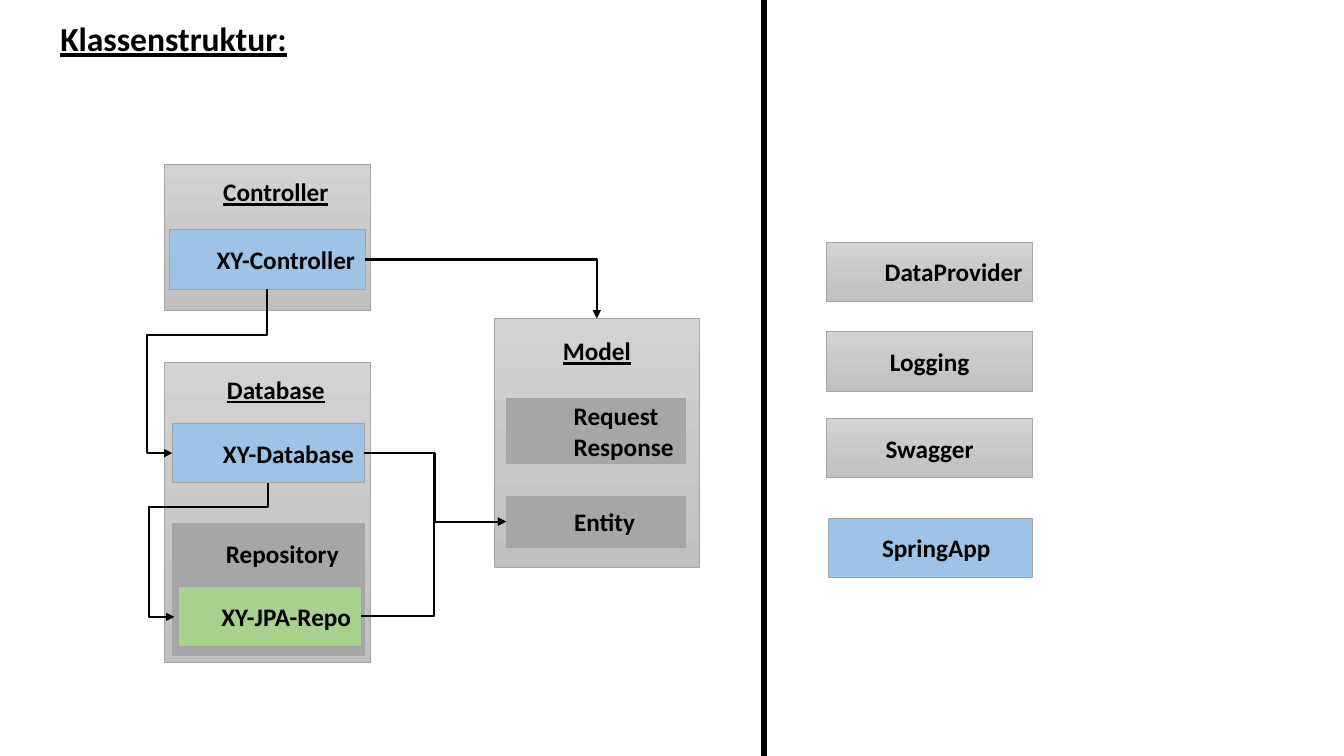
from lxml import etree
from pptx import Presentation
from pptx.dml.color import RGBColor
from pptx.enum import shapes, text
from pptx.oxml import ns
from pptx.util import Inches, Pt

BLACK = RGBColor(0x00, 0x00, 0x00)
BORDER = RGBColor(0xA5, 0xA5, 0xA5)
GRAY = RGBColor(0xA6, 0xA6, 0xA6)
BLUE = RGBColor(0x9D, 0xC3, 0xE6)
GREEN = RGBColor(0xA9, 0xD1, 0x8E)
PACKAGE = (RGBColor(0xD2, 0xD2, 0xD2), RGBColor(0xC0, 0xC0, 0xC0))

LEFT, CENTER, RIGHT = text.PP_ALIGN.LEFT, text.PP_ALIGN.CENTER, text.PP_ALIGN.RIGHT
TOP, BOTTOM_SITE, LEFT_SITE, RIGHT_SITE = 0, 2, 1, 3


def write(frame, lines, size, alignment, underline=False):
    frame.word_wrap = True
    for index, line in enumerate(lines):
        paragraph = frame.paragraphs[0] if index == 0 else frame.add_paragraph()
        paragraph.alignment = alignment
        run = paragraph.add_run()
        run.text = line
        run.font.color.rgb = BLACK
        values = {"name": "Calibri", "size": Pt(size), "bold": True, "underline": underline}
        for name, value in values.items():
            setattr(run.font, name, value)


def add_line(kind, start, end, width):
    """Add a black connector without a shadow."""
    connector = slide.shapes.add_connector(kind, *map(Inches, start + end))
    connector.line.color.rgb = BLACK
    connector.line.width = Pt(width)
    etree.SubElement(connector._element.spPr, ns.qn("a:effectLst"))
    return connector


presentation = Presentation()
presentation.slide_width, presentation.slide_height = Inches(13.33), Inches(7.5)
slide = presentation.slides.add_slide(presentation.slide_layouts[6])

title = slide.shapes.add_textbox(Inches(0.5), Inches(0.13), Inches(5.6), Inches(0.5))
write(title.text_frame, ["Klassenstruktur:"], 24, LEFT, underline=True)

# Text, position and size, fill, alignment, left indent, top margin of a heading
boxes = [
    ("DataProvider", (8.2, 2.4, 2.04, 0.59), PACKAGE, RIGHT, 0, None),
    ("Logging", (8.2, 3.29, 2.04, 0.59), PACKAGE, CENTER, 0, None),
    ("Swagger", (8.2, 4.15, 2.04, 0.59), PACKAGE, CENTER, 0, None),
    ("SpringApp", (8.22, 5.14, 2.02, 0.59), BLUE, CENTER, 0.11, None),
    ("Model", (4.9, 3.16, 2.04, 2.47), PACKAGE, CENTER, 0, 0.17),
    ("Request\nResponse", (5.02, 3.95, 1.78, 0.65), GRAY, LEFT, 0.57, None),
    ("Entity", (5.02, 4.92, 1.78, 0.51), GRAY, CENTER, 0.17, None),
    ("Controller", (1.63, 1.63, 2.04, 1.45), PACKAGE, CENTER, 0.17, 0.12),
    ("XY-Controller", (1.68, 2.28, 1.94, 0.59), BLUE, RIGHT, 0, None),
    ("Database", (1.63, 3.59, 2.04, 2.98), PACKAGE, CENTER, 0.17, 0.12),
    ("XY-Database", (1.71, 4.2, 1.9, 0.59), BLUE, RIGHT, 0, None),
    ("Repository", (1.71, 5.19, 1.9, 1.31), GRAY, CENTER, 0.28, 0.15),
    ("XY-JPA-Repo", (1.77, 5.82, 1.81, 0.59), GREEN, RIGHT, 0, None),
]
box_by_name = {}
for label, place, fill, alignment, indent, heading_top in boxes:
    shape = slide.shapes.add_shape(shapes.MSO_SHAPE.RECTANGLE, *map(Inches, place))
    shape.shadow.inherit = False
    if fill is PACKAGE:
        shape.fill.gradient()
        shape.fill.gradient_angle = 270
        for stop, color in zip(shape.fill.gradient_stops, PACKAGE):
            stop.color.rgb = color
    else:
        shape.fill.solid()
        shape.fill.fore_color.rgb = fill
    shape.line.color.rgb = BORDER
    shape.line.width = Pt(0.5)
    frame = shape.text_frame
    frame.margin_left = Inches(0.1 + indent)
    frame.vertical_anchor = text.MSO_ANCHOR.MIDDLE
    if heading_top is not None:
        frame.vertical_anchor = text.MSO_ANCHOR.TOP
        frame.margin_top = Inches(heading_top)
    underline = label in ("Controller", "Database", "Model")
    write(frame, label.split("\n"), 18, alignment, underline)
    box_by_name[label] = shape

# Start box and site, end box and site, end point, preset, adjustments
arrows = [
    ("XY-Controller", RIGHT_SITE, "Model", TOP, (5.91, 3.16), "bentConnector2", []),
    ("XY-Controller", BOTTOM_SITE, "XY-Database", LEFT_SITE, (1.71, 4.5), "bentConnector4", [27800, 126400]),
    ("XY-Database", BOTTOM_SITE, None, None, (1.73, 6.12), "bentConnector4", [17900, 126900]),
    ("XY-Database", RIGHT_SITE, "Entity", LEFT_SITE, (5.02, 5.18), "bentConnector3", [49600]),
    ("XY-JPA-Repo", RIGHT_SITE, "Entity", LEFT_SITE, (5.02, 5.18), "bentConnector3", [50600]),
]
for source, source_site, target, target_site, end, preset, adjustments in arrows:
    arrow = add_line(shapes.MSO_CONNECTOR.ELBOW, (0, 0), end, 1.5)
    arrow.begin_connect(box_by_name[source], source_site)
    if target:
        arrow.end_connect(box_by_name[target], target_site)
    properties = arrow._element.spPr
    geometry = properties.find(ns.qn("a:prstGeom"))
    geometry.set("prst", preset)
    guides = geometry.find(ns.qn("a:avLst"))
    for number, value in enumerate(adjustments, 1):
        etree.SubElement(guides, ns.qn("a:gd"), name=f"adj{number}", fmla=f"val {value}")
    etree.SubElement(arrow.line._get_or_add_ln(), ns.qn("a:tailEnd"), type="triangle")
    if source_site == BOTTOM_SITE:
        # A quarter turn swaps width and height around the same centre
        shift = (arrow.height - arrow.width) // 2
        arrow.left, arrow.top = arrow.left - shift, arrow.top + shift
        arrow.width, arrow.height = arrow.height, arrow.width
        transform = properties.find(ns.qn("a:xfrm"))
        transform.attrib.pop("flipH", None)
        transform.set("rot", "5400000")

add_line(shapes.MSO_CONNECTOR.STRAIGHT, (7.58, 0), (7.58, 7.5), 4)

presentation.save("out.pptx")
